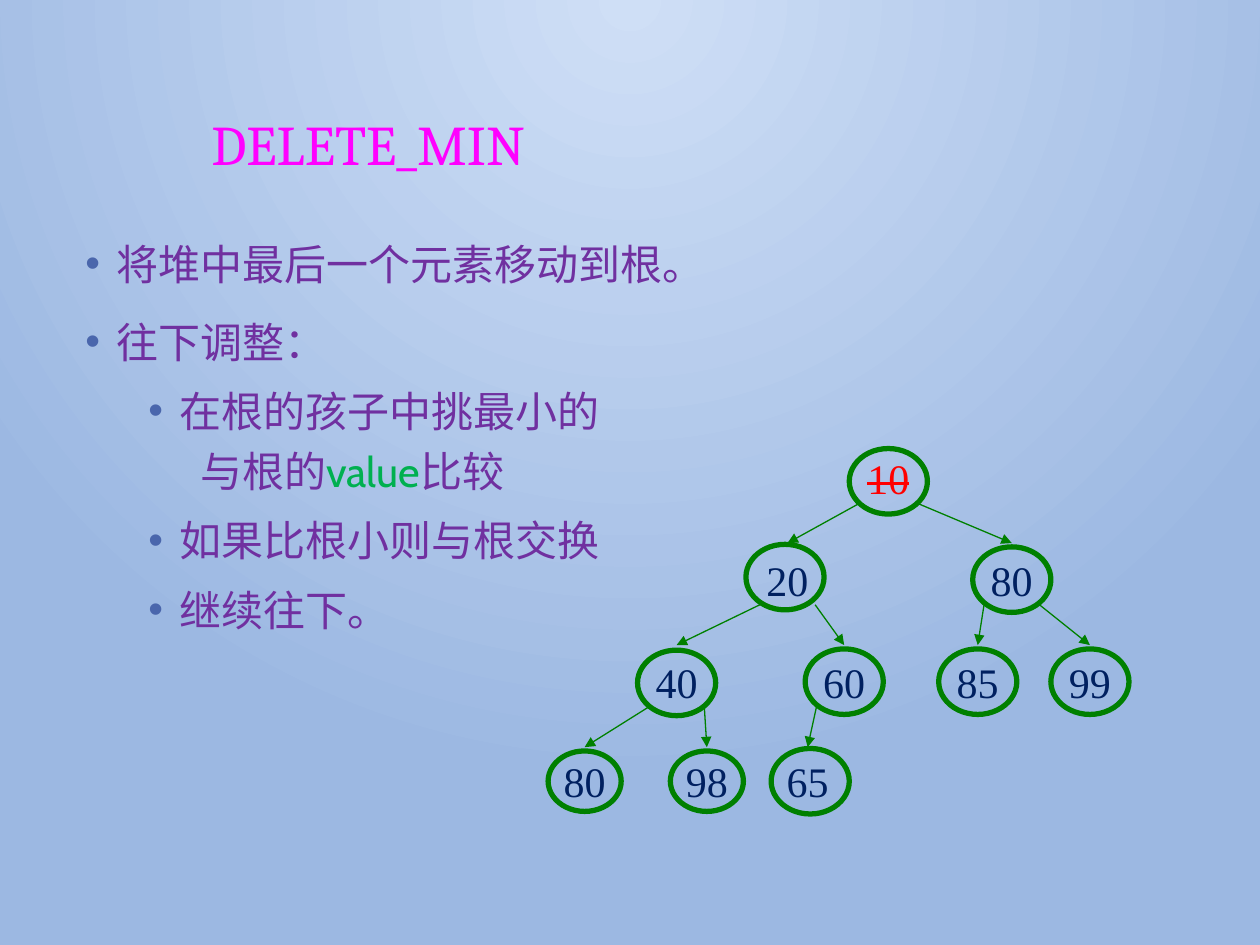
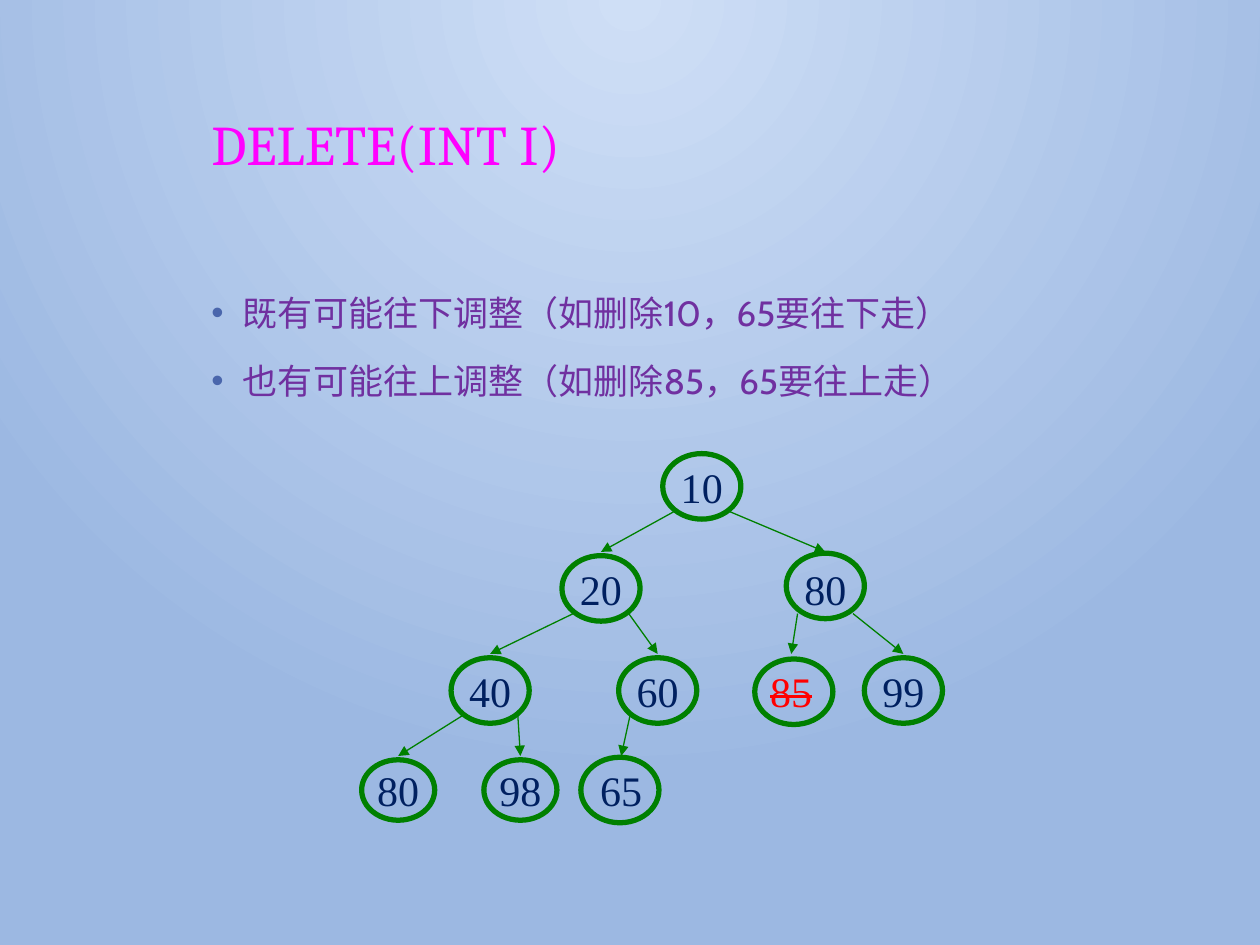
import pptx
import pptx.dml.color
import pptx.enum.shapes
import pptx.enum.text
import pptx.oxml.ns
import pptx.util
from lxml import etree

Inches, Pt = pptx.util.Inches, pptx.util.Pt
qn = pptx.oxml.ns.qn
GREEN, NAVY, RED, PURPLE = "008000", "002060", "FF0000", "7030A0"
MAGENTA, BULLET, VALUE = "FF00FF", "4A66AC", "00B050"

# The heap in array order: the children of node i are 2i + 1 and 2i + 2
HEAP = [10, 20, 80, 40, 60, 85, 99, 80, 98, 65]
CENTERS = [7.05, 6.25, 8.03, 5.37, 6.70, 7.76, 8.65, 4.64, 5.61, 6.41]
TOP, ROW = 3.53, 0.81
NODE, LEAF = (0.62, 0.52), (0.58, 0.48)

# Paragraph styles: left margin, hanging indent, space before, bullet
ITEM = (0.25, -0.25, 10, True)
SUBITEM = (0.75, -0.25, 5, True)
CONTINUED = (0.91, 0, 0, False)

# rings: node index -> offset of a separately drawn outline
SLIDES = [
    {
        "title": "DELETE_MIN",
        "box": (0.58, 1.76, 5.24, 1.99),
        "size": 24,
        "body": [
            (ITEM, [("将堆中最后一个元素移动到根。", PURPLE)]),
            (ITEM, [("往下调整：", PURPLE)]),
            (SUBITEM, [("在根的孩子中挑最小的", PURPLE)]),
            (CONTINUED, [("与根的", PURPLE), ("value", VALUE), ("比较", PURPLE)]),
            (SUBITEM, [("如果比根小则与根交换", PURPLE)]),
            (SUBITEM, [("继续往下。", PURPLE)]),
        ],
        "shift": (0, 0),
        "deleted": 0,
        "rings": {0: (0, 0.03), 1: (-0.02, -0.02), 3: (0, 0.01), 9: (0, -0.02)},
    },
    {
        "title": "DELETE(INT I)",
        "box": (1.58, 2.2, 7.19, 3.77),
        "size": 20,
        "body": [
            (ITEM, [("既有可能往下调整（如删除10，65要往下走）", PURPLE)]),
            (ITEM, [("也有可能往上调整（如删除85，65要往上走）", PURPLE)]),
        ],
        "shift": (-1.48, 0.07),
        "deleted": 5,
        "rings": {2: (0, -0.02), 5: (0.02, 0.01), 9: (-0.03, -0.02)},
    },
]


def rgb(color):
    return pptx.dml.color.RGBColor.from_string(color)


def add_run(p, text, name, size, color):
    r = p.add_run()
    r.text = text
    for key, value in {"name": name, "size": Pt(size)}.items():
        setattr(r.font, key, value)
    r.font.color.rgb = rgb(color)
    return r


prs = pptx.Presentation()
prs.slide_width, prs.slide_height = Inches(10), Inches(7.5)

for content in SLIDES:
    s = prs.slides.add_slide(prs.slide_layouts[6])

    # Background: glow from the top centre
    fill = s.background.fill
    fill.gradient()
    for stop, color in zip(fill.gradient_stops, ("CFDFF6", "9CB8E2")):
        stop.color.rgb = rgb(color)
    grad = s._element.xpath(".//a:gradFill")[0]
    grad.remove(grad.find(qn("a:lin")))
    glow = etree.SubElement(grad, qn("a:path"), {"path": "circle"})
    etree.SubElement(glow, qn("a:fillToRect"), l="43000", t="0", r="43000", b="100000")

    # Title
    tf = s.shapes.add_textbox(*map(Inches, (1.58, 0.88, 7.19, 1.15))).text_frame
    tf.word_wrap = True
    tf.paragraphs[0].line_spacing = 0.9
    add_run(tf.paragraphs[0], content["title"], "Cambria", 32, MAGENTA)

    # Body
    tf = s.shapes.add_textbox(*map(Inches, content["box"])).text_frame
    tf.word_wrap = True
    for n, ((margin, indent, before, bulleted), runs) in enumerate(content["body"]):
        p = tf.add_paragraph() if n else tf.paragraphs[0]
        p.line_spacing, p.space_before = 1.2, Pt(before)
        pPr = p._p.get_or_add_pPr()
        pPr.set("marL", str(Inches(margin)))
        pPr.set("indent", str(Inches(indent)))
        if bulleted:
            bullet_color = etree.SubElement(pPr, qn("a:buClr"))
            etree.SubElement(bullet_color, qn("a:srgbClr"), val=BULLET)
            etree.SubElement(pPr, qn("a:buFont"), typeface="Arial")
            etree.SubElement(pPr, qn("a:buChar"), char="•")
        for text, color in runs:
            add_run(p, text, "Cabin", content["size"], color)

    # Heap: nodes, their outlines, and an arrow from each parent
    dx, dy = content["shift"]
    for i, key in enumerate(HEAP):
        row = (i + 1).bit_length() - 1
        width, height = LEAF if row == 3 else NODE
        center, top = CENTERS[i] + dx, TOP + row * ROW + dy
        left = center - width / 2
        ovals = [(left, top, width, height)]
        if i in content["rings"]:
            ox, oy = content["rings"][i]
            ovals.append((left + ox, top + oy, *NODE))
        for oval in ovals:
            sp = s.shapes.add_shape(pptx.enum.shapes.MSO_SHAPE.OVAL, *map(Inches, oval))
            sp.shadow.inherit = False
            sp.fill.background()
            if oval == ovals[-1]:
                sp.line.color.rgb = rgb(GREEN)
                sp.line.width = Pt(3)
            else:
                sp.line.fill.background()
            if oval == ovals[0]:
                tf = sp.text_frame
                tf.word_wrap = False
                tf.vertical_anchor = pptx.enum.text.MSO_ANCHOR.MIDDLE
                p = tf.paragraphs[0]
                p.alignment = pptx.enum.text.PP_ALIGN.CENTER
                deleted = i == content["deleted"]
                r = add_run(p, str(key), "Times New Roman", 24, RED if deleted else NAVY)
                if deleted:
                    r.font._element.set("strike", "sngStrike")

        if i:
            side = -0.22 if i % 2 else 0.22
            start = CENTERS[(i - 1) // 2] + dx + side, top - ROW + 0.46
            arrow = s.shapes.add_connector(
                pptx.enum.shapes.MSO_CONNECTOR.STRAIGHT,
                *map(Inches, (*start, center, top - 0.03)))
            arrow.line.color.rgb = rgb(GREEN)
            arrow.line.width = Pt(0.75)
            etree.SubElement(arrow.line._get_or_add_ln(), qn("a:tailEnd"), type="triangle")
            etree.SubElement(arrow._element.spPr, qn("a:effectLst"))

prs.save("out.pptx")
